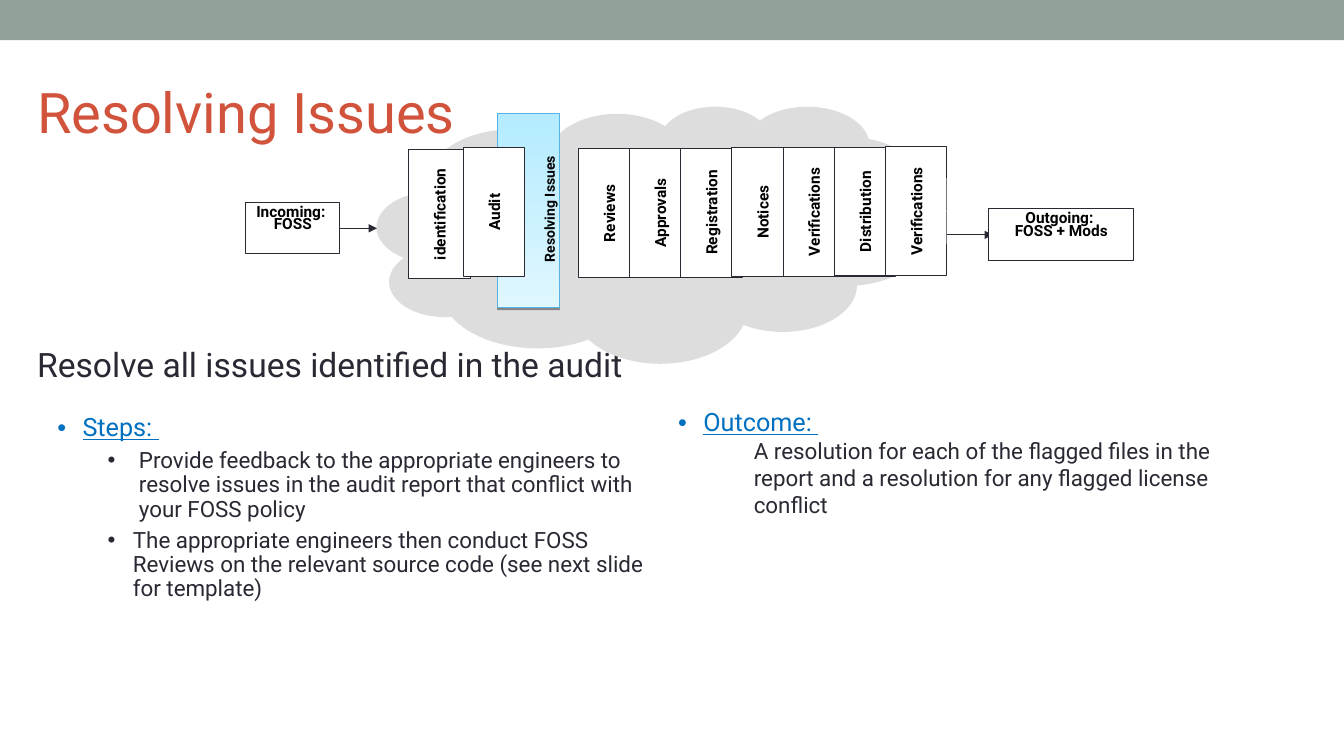
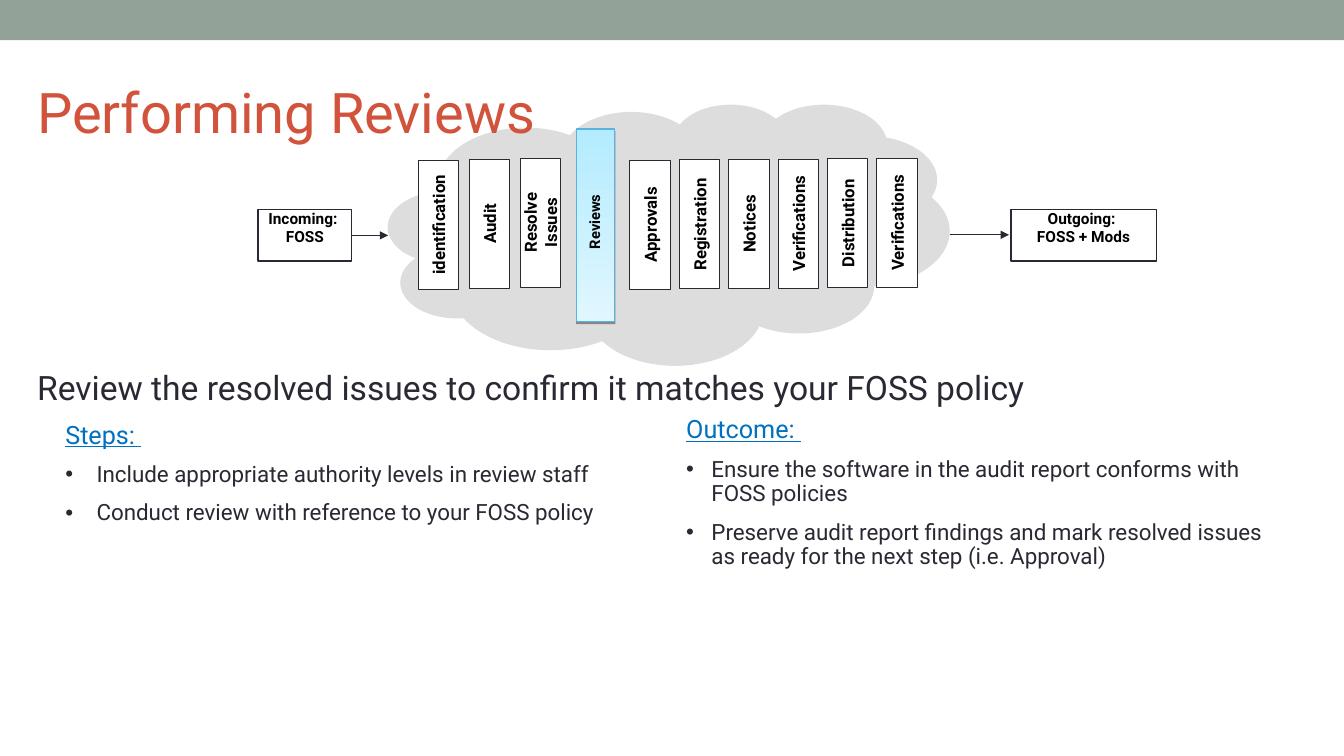
from dataclasses import dataclass

from lxml.etree import SubElement
from pptx import Presentation
from pptx.dml.color import RGBColor
from pptx.enum.shapes import MSO_CONNECTOR as Connector
from pptx.enum.shapes import MSO_SHAPE as Preset
from pptx.enum.text import MSO_ANCHOR as Anchor
from pptx.enum.text import PP_ALIGN as Align
from pptx.oxml.ns import qn
from pptx.presentation import Presentation as Deck
from pptx.shapes.autoshape import Shape
from pptx.slide import Slide
from pptx.text.text import _Paragraph as Paragraph
from pptx.util import Emu, Inches, Pt

# Grid: square cells of a tenth of an inch
CELL = Inches(0.1)
COLUMNS, ROWS = 133.33, 75


@dataclass(frozen=True)
class Theme:
    font: str = "Roboto"
    band: str = "93A299"
    title: str = "D2533C"
    ink: str = "292934"
    heading: str = "0070C0"
    cloud: str = "DDDDDD"
    paper: str = "FFFFFF"
    label: str = "000000"
    glow_top: str = "B4EBFF"
    glow_bottom: str = "E0F7FF"
    glow_line: str = "55B4E5"
    title_size: float = 40
    summary_size: float = 24
    heading_size: float = 18
    body_size: float = 16
    box_size: float = 11
    line_width: float = 0.75


THEME = Theme()


@dataclass(frozen=True)
class Area:
    left: float
    top: float
    width: float
    height: float

    @property
    def middle(self) -> float:
        return self.top + self.height / 2


@dataclass(frozen=True)
class Item:
    text: str
    heading: bool = False
    margin: float = 0
    hanging: float = 0
    level: int = 0
    before: float = 0
    spacing: float = 0.9


@dataclass(frozen=True)
class TextColumn:
    area: Area
    items: tuple[Item, ...]


@dataclass(frozen=True)
class CardRun:
    """Upright cards spaced evenly between two centres."""
    labels: tuple[str, ...]
    first: tuple[float, float]
    last: tuple[float, float]


@dataclass(frozen=True)
class Highlight:
    label: str
    bar: Area
    label_centre: tuple[float, float]
    label_size: float


@dataclass(frozen=True)
class Flow:
    cloud: Area
    callout: tuple[float, float]
    highlight: Highlight
    runs: tuple[CardRun, ...]
    card_width: float
    card_size: float
    incoming: Area
    outgoing: Area
    exit_arrow_end: float
    exit_arrow_row: float
    second_line_spacings: tuple[float, float]


@dataclass(frozen=True)
class Page:
    title: str
    summary: str
    summary_area: Area
    flow: Flow
    columns: tuple[TextColumn, ...]
    flow_in_front: bool


def cells(count: float) -> Emu:
    return Emu(round(count * CELL))


def box(area: Area) -> tuple[Emu, Emu, Emu, Emu]:
    return cells(area.left), cells(area.top), cells(area.width), cells(area.height)


def colour(value: str) -> RGBColor:
    return RGBColor.from_string(value)


def centred_area(centre: tuple[float, float], width: float, height: float) -> Area:
    return Area(centre[0] - width / 2, centre[1] - height / 2, width, height)


def style_runs(paragraph: Paragraph, size: float, ink: str,
               bold: bool = False, underline: bool = False) -> None:
    for run in paragraph.runs:
        font = run.font
        font.name, font.size, font.bold = THEME.font, Pt(size), bold
        font.color.rgb = colour(ink)
        if underline:
            font.underline = True


def add_panel(slide: Slide, area: Area, fill: str, line: str | None = None,
              preset: Preset = Preset.RECTANGLE) -> Shape:
    shape = slide.shapes.add_shape(preset, *box(area))
    shape.shadow.inherit = False
    shape.fill.solid()
    shape.fill.fore_color.rgb = colour(fill)
    if line:
        shape.line.color.rgb = colour(line)
        shape.line.width = Pt(THEME.line_width)
    else:
        shape.line.fill.background()
    return shape


def add_text(slide: Slide, area: Area, text: str, size: float, ink: str,
             anchor: Anchor = Anchor.TOP) -> None:
    text_frame = slide.shapes.add_textbox(*box(area)).text_frame
    text_frame.word_wrap = True
    text_frame.vertical_anchor = anchor
    text_frame.text = text
    style_runs(text_frame.paragraphs[0], size, ink)


def set_label(shape: Shape, text: str, size: float, anchor: Anchor = Anchor.MIDDLE,
              spacings: tuple[float, ...] = (1,)) -> None:
    text_frame = shape.text_frame
    text_frame.word_wrap = True
    text_frame.vertical_anchor = anchor
    text_frame.text = text
    for paragraph, spacing in zip(text_frame.paragraphs, spacings):
        paragraph.alignment = Align.CENTER
        paragraph.line_spacing = spacing
        style_runs(paragraph, size, THEME.label, bold=True)


def add_arrow(slide: Slide, start: float, end: float, row: float) -> None:
    arrow = slide.shapes.add_connector(
        Connector.STRAIGHT, cells(start), cells(row), cells(end), cells(row))
    arrow.line.color.rgb = colour(THEME.ink)
    arrow.line.width = Pt(THEME.line_width)
    properties = arrow._element.spPr
    SubElement(properties.find(qn("a:ln")), qn("a:tailEnd"), type="triangle")
    SubElement(properties, qn("a:effectLst"))


def add_column(slide: Slide, column: TextColumn) -> None:
    text_frame = slide.shapes.add_textbox(*box(column.area)).text_frame
    text_frame.word_wrap = True
    text_frame.text = "\n".join(item.text for item in column.items)
    for paragraph, item in zip(text_frame.paragraphs, column.items):
        ink = THEME.heading if item.heading else THEME.ink
        size = THEME.heading_size if item.heading else THEME.body_size
        paragraph.level = item.level
        properties = paragraph._p.get_or_add_pPr()
        properties.set("marL", str(cells(item.margin)))
        properties.set("indent", str(-cells(item.hanging)))
        if item.hanging:
            bullet_colour = SubElement(properties, qn("a:buClr"))
            SubElement(bullet_colour, qn("a:srgbClr"), val=ink)
            SubElement(properties, qn("a:buFont"), typeface="Arial")
            SubElement(properties, qn("a:buChar"), char="•")
        paragraph.line_spacing = item.spacing
        if item.before:
            paragraph.space_before = Pt(item.before)
        style_runs(paragraph, size, ink, underline=item.heading)


def add_highlight(slide: Slide, highlight: Highlight) -> None:
    bar = add_panel(slide, highlight.bar, THEME.glow_top, THEME.glow_line)
    bar.fill.gradient()
    bar.fill.gradient_angle = 270
    for stop, value in zip(bar.fill.gradient_stops, (THEME.glow_top, THEME.glow_bottom)):
        stop.color.rgb = colour(value)
    effects = bar._element.spPr.find(qn("a:effectLst"))
    shadow = SubElement(effects, qn("a:outerShdw"), dist=str(Pt(1.6)),
                        dir="5400000", rotWithShape="0")
    shade = SubElement(shadow, qn("a:srgbClr"), val=THEME.label)
    SubElement(shade, qn("a:alpha"), val="38000")

    area = centred_area(highlight.label_centre, highlight.bar.height, highlight.bar.width)
    label = slide.shapes.add_textbox(*box(area))
    label.rotation = 270
    set_label(label, highlight.label, highlight.label_size)


def add_cards(slide: Slide, run: CardRun, width: float, size: float) -> None:
    steps = len(run.labels) - 1
    for index, text in enumerate(run.labels):
        x, y = (a + (b - a) * index / steps for a, b in zip(run.first, run.last))
        card = add_panel(slide, centred_area((x, y), 12.8, width), THEME.paper, THEME.ink)
        card.rotation = 270
        set_label(card, text, size)


def add_flow(slide: Slide, flow: Flow) -> None:
    cloud = add_panel(slide, flow.cloud, THEME.cloud, preset=Preset.CLOUD_CALLOUT)
    for index, value in enumerate(flow.callout):
        cloud.adjustments[index] = value
    add_arrow(slide, flow.cloud.left + flow.cloud.width, flow.exit_arrow_end,
              flow.exit_arrow_row)
    add_highlight(slide, flow.highlight)
    for run in flow.runs:
        add_cards(slide, run, flow.card_width, flow.card_size)
    ends = ((flow.incoming, "Incoming: \nFOSS", 0.65),
            (flow.outgoing, "Outgoing: \nFOSS + Mods", 0.7))
    for (area, text, spacing), second in zip(ends, flow.second_line_spacings):
        end = add_panel(slide, area, THEME.paper, THEME.ink)
        set_label(end, text, THEME.box_size, Anchor.TOP, (spacing, second))
    add_arrow(slide, flow.incoming.left + flow.incoming.width, flow.cloud.left,
              flow.incoming.middle)


def add_page(presentation: Deck, page: Page) -> None:
    slide = presentation.slides.add_slide(presentation.slide_layouts[6])
    add_panel(slide, Area(0, 0, COLUMNS, 4), THEME.band)
    if not page.flow_in_front:
        add_flow(slide, page.flow)
    for column in page.columns:
        add_column(slide, column)
    add_text(slide, page.summary_area, page.summary, THEME.summary_size, THEME.ink)
    add_text(slide, Area(2.7, 5.6, 120, 10.8), page.title, THEME.title_size,
             THEME.title, Anchor.MIDDLE)
    if page.flow_in_front:
        add_flow(slide, page.flow)


# Content
LATER_STAGES = ("Approvals", "Registration", "Notices", "Verifications",
                "Distribution", "Verifications")

RESOLVING = Page(
    "Resolving Issues", "Resolve all issues identified in the audit",
    Area(2.7, 33.6, 79.2, 5),
    Flow(Area(37.4, 10.5, 55, 25.5), (-0.25, 0.16),
         Highlight("Resolving Issues", Area(49.4, 11.3, 6.1, 19.2), (54.5, 20.75), 10),
         (CardRun(("identification", "Audit"), (43.6, 21.25), (49, 21.05)),
          CardRun(("Reviews", *LATER_STAGES), (60.4, 21.15), (90.9, 20.95))),
         6.1, 11, Area(24.4, 20.1, 9.3, 5.1), Area(98.1, 20.7, 14.4, 5.1),
         98.5, 23.3, (0.65, 0.7)),
    (TextColumn(Area(66.3, 40.2, 60.2, 25.2), (
        Item("Outcome: ", True, 2.5, 2.5),
        Item("A resolution for each of the flagged files in the report and a resolution "
             "for any flagged license conflict", margin=7.5, spacing=1))),
     TextColumn(Area(4.7, 40.7, 60.5, 28.6), (
         Item("Steps: ", True, 2.5, 2.5),
         Item("Provide feedback to the appropriate engineers to resolve issues in the "
              "audit report that conflict with your FOSS policy", False, 8.1, 3.1, 1, 5),
         Item("The appropriate engineers then conduct FOSS Reviews on the relevant source "
              "code (see next slide for template)", False, 7.5, 2.5, 1, 5)))),
    flow_in_front=True)

REVIEWING = Page(
    "Performing Reviews", "Review the resolved issues to confirm it matches your FOSS policy",
    Area(2.7, 35.9, 130.6, 5),
    Flow(Area(38.5, 10.3, 55.7, 25.9), (-0.01, 0.12),
         Highlight("Reviews", Area(57.2, 12.8, 3.8, 19.1), (58.95, 22), 10.5),
         (CardRun(("identification", "Audit", "Resolve Issues"), (43.5, 22.3), (53.6, 22.1)),
          CardRun(LATER_STAGES, (64.5, 22.3), (89, 22.1))),
         4, 12, Area(25.6, 20.8, 9.3, 5.1), Area(100.3, 20.8, 14.4, 5.1),
         100.1, 23.3, (1, 1)),
    (TextColumn(Area(67.1, 40.9, 59.4, 31), (
        Item("Outcome: ", True),
        Item("Ensure the software in the audit report conforms with FOSS policies",
             False, 2.5, 2.5, 0, 10),
        Item("Preserve audit report findings and mark resolved issues as ready for the "
             "next step (i.e. Approval)", False, 2.5, 2.5, 0, 10))),
     TextColumn(Area(5.5, 41.4, 58.6, 30.3), (
         Item("Steps: ", True),
         Item("Include appropriate authority levels in review staff", False, 3.1, 3.1, 0, 10),
         Item("Conduct review with reference to your FOSS policy", False, 3.1, 3.1, 0, 10)))),
    flow_in_front=False)


def main() -> None:
    presentation = Presentation()
    presentation.slide_width, presentation.slide_height = cells(COLUMNS), cells(ROWS)
    for page in (RESOLVING, REVIEWING):
        add_page(presentation, page)
    presentation.save("out.pptx")


if __name__ == "__main__":
    main()
